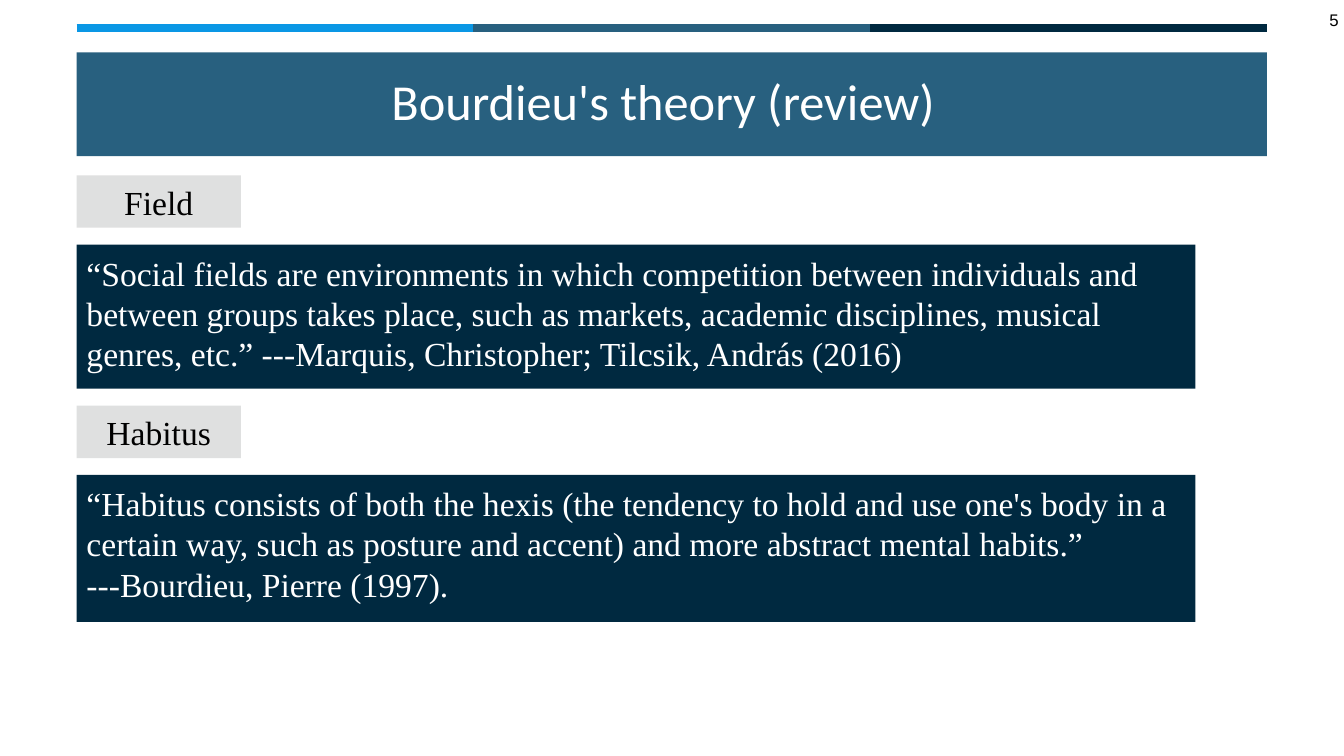
import pptx
import pptx.util
import pptx.dml.color
import pptx.enum.shapes
import pptx.enum.text
import pptx.oxml.ns
import lxml.etree

Pt = pptx.util.Pt
RGB = pptx.dml.color.RGBColor
ALIGN = pptx.enum.text.PP_ALIGN
ANCHOR = pptx.enum.text.MSO_ANCHOR

SKY = RGB(0x0A, 0x97, 0xE5)
TEAL = RGB(0x28, 0x60, 0x7F)
NAVY = RGB(0x00, 0x29, 0x40)
GREY = RGB(0xDF, 0xE0, 0xE0)
WHITE = RGB(0xFF, 0xFF, 0xFF)
BLACK = RGB(0x00, 0x00, 0x00)

LEFT, BAND_W = 54.7, 850.3
LABEL_W, LABEL_H = 117.4, 37.4
QUOTE_W, LABEL_GAP = 799.2, 12
SERIF = "Times New Roman"

TERMS = [
    ("Field", 125.3, 103, [
        "“Social fields are environments in which competition between individuals "
        "and between groups takes place, such as markets, academic disciplines, "
        "musical genres, etc.” ---Marquis, Christopher; Tilcsik, András (2016)"]),
    ("Habitus", 289.8, 105.1, [
        "“Habitus consists of both the hexis (the tendency to hold and use one's "
        "body in a certain way, such as posture and accent) and more abstract "
        "mental habits.”",
        "---Bourdieu, Pierre (1997)."]),
]


def write(tf, paragraphs, size, font, color, align, anchor, insets):
    """Fill a text frame with one run per paragraph."""
    tf.word_wrap = True
    tf.auto_size = pptx.enum.text.MSO_AUTO_SIZE.NONE
    tf.vertical_anchor = anchor
    tf.margin_left, tf.margin_top, tf.margin_right, tf.margin_bottom = map(Pt, insets)
    for i, text in enumerate(paragraphs):
        p = tf.add_paragraph() if i else tf.paragraphs[0]
        p.alignment = align
        r = p.add_run()
        r.text = text
        r.font.size = Pt(size)
        r.font.name = font
        r.font.color.rgb = color


def add_panel(s, x, y, w, h, fill):
    """Add a plain filled rectangle and return its text frame."""
    sp = s.shapes.add_shape(pptx.enum.shapes.MSO_SHAPE.RECTANGLE,
                            Pt(x), Pt(y), Pt(w), Pt(h))
    sp.shadow.inherit = False
    sp.fill.solid()
    sp.fill.fore_color.rgb = fill
    sp.line.fill.background()
    return sp.text_frame


def add_stripe(s, x, y, w):
    """Draw the three-coloured rule across the given width."""
    colors = [SKY, TEAL, NAVY]
    step = w / len(colors)
    for i, color in enumerate(colors):
        line = s.shapes.add_connector(pptx.enum.shapes.MSO_CONNECTOR.STRAIGHT,
                                      Pt(x + i * step), Pt(y),
                                      Pt(x + (i + 1) * step), Pt(y))
        line.line.color.rgb = color
        line.line.width = Pt(6)
        lxml.etree.SubElement(line._element.spPr, pptx.oxml.ns.qn("a:effectLst"))


def add_title(s, x, y, w, h, text):
    """Turn the title placeholder into a coloured band."""
    sp = s.shapes.title
    sp.left, sp.top, sp.width, sp.height = Pt(x), Pt(y), Pt(w), Pt(h)
    sp.fill.solid()
    sp.fill.fore_color.rgb = TEAL
    write(sp.text_frame, [text], 36, "Calibri", WHITE, ALIGN.CENTER,
          ANCHOR.MIDDLE, (3.6, 3.6, 15.8, 3.6))
    sp.text_frame.paragraphs[0].line_spacing = 0.9


def add_page_number(s, x, y, w, h, number):
    """Place the slide number in the given box."""
    tf = s.shapes.add_textbox(Pt(x), Pt(y), Pt(w), Pt(h)).text_frame
    write(tf, [number], 12, "Arial", BLACK, ALIGN.RIGHT, ANCHOR.MIDDLE, (3.6,) * 4)
    tf.word_wrap = False


def add_term(s, x, y, quote_h, term, quote):
    """Add a term label with its quotation panel below."""
    tf = add_panel(s, x, y, LABEL_W, LABEL_H, GREY)
    write(tf, [term], 24, SERIF, BLACK, ALIGN.CENTER, ANCHOR.MIDDLE, (3.6,) * 4)
    tf = add_panel(s, x, y + LABEL_H + LABEL_GAP, QUOTE_W, quote_h, NAVY)
    write(tf, quote, 24, SERIF, WHITE, ALIGN.LEFT, ANCHOR.TOP, (7.2, 5.8, 7.2, 3.6))


def main():
    """Build and save the slide."""
    prs = pptx.Presentation()
    prs.slide_width, prs.slide_height = Pt(960), Pt(540)
    s = prs.slides.add_slide(prs.slide_layouts[5])
    add_title(s, LEFT, 37.4, BAND_W, 74.2, "Bourdieu's theory (review)")
    add_stripe(s, LEFT, 20.2, BAND_W)
    add_page_number(s, 945.4, 4.3, 14.4, 19.4, "5")
    for term, top, quote_h, quote in TERMS:
        add_term(s, LEFT, top, quote_h, term, quote)
    prs.save("out.pptx")


if __name__ == "__main__":
    main()
